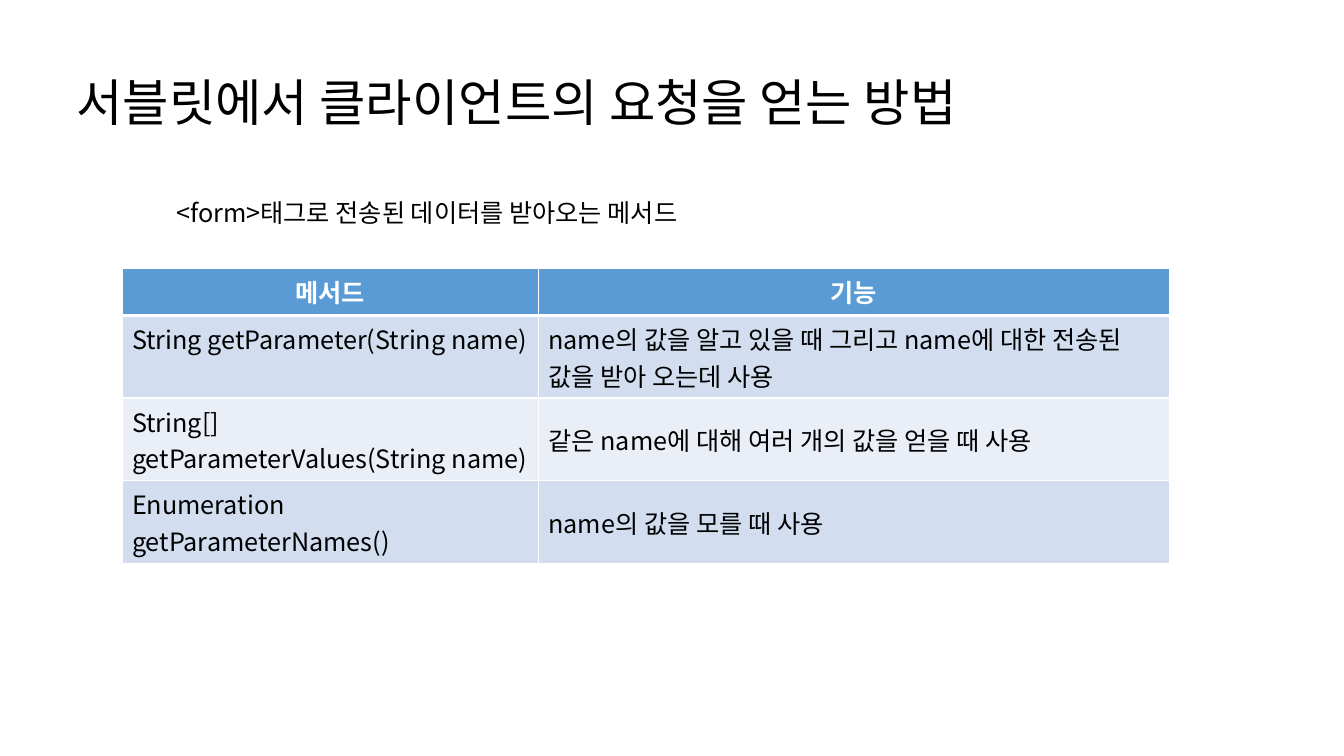
from typing import NamedTuple

from pptx import Presentation
from pptx.dml.color import RGBColor
from pptx.enum import text
from pptx.oxml import parse_xml
from pptx.oxml.ns import nsdecls, qn
from pptx.util import Inches, Pt

FONT = "Noto Sans CJK KR"
BLACK, WHITE = "000000", "FFFFFF"
HEADER_FILL, BAND_FILLS = "5B9BD5", ("D2DEEF", "EAEFF7")
TOP, MIDDLE, BOTTOM = (text.MSO_ANCHOR.TOP, text.MSO_ANCHOR.MIDDLE,
                       text.MSO_ANCHOR.BOTTOM)


class Label(NamedTuple):
    left: float
    top: float
    width: float
    height: float
    words: str
    size: int
    anchor: text.MSO_ANCHOR
    spacing: float


class Method(NamedTuple):
    signature: str
    purpose: str


LABELS = [
    Label(0.66, 0.46, 11.5, 0.9, "서블릿에서 클라이언트의 요청을 얻는 방법", 36, BOTTOM, 0.9),
    Label(1.65, 1.91, 8.47, 0.4, "<form>태그로 전송된 데이터를 받아오는 메서드", 18, TOP, 1.0),
]
HEADER = Method("메서드", "기능")
METHODS = [
    Method("String getParameter(String name)",
           "name의 값을 알고 있을 때 그리고 name에 대한 전송된 값을 받아 오는데 사용"),
    Method("String[] getParameterValues(String name)",
           "같은 name에 대해 여러 개의 값을 얻을 때 사용"),
    Method("Enumeration getParameterNames()", "name의 값을 모를 때 사용"),
]
COLUMN_WIDTHS = (4.13, 6.26)
# Every method row holds two lines of text
HEADER_HEIGHT, METHOD_HEIGHT = 0.47, 0.82


def rgb(value: str) -> RGBColor:
    return RGBColor.from_string(value)


def write(tf, words: str, size: int, color: str = BLACK, bold: bool = False):
    p = tf.paragraphs[0]
    p.text = words
    font = p.font
    font.name, font.size, font.bold = FONT, Pt(size), bold
    font.color.rgb = rgb(color)
    # Hangul takes its typeface from the East Asian font
    p._p.pPr.find(qn("a:defRPr")).append(
        parse_xml(f'<a:ea {nsdecls("a")} typeface="{FONT}"/>'))
    return p


def add_label(s, label: Label) -> None:
    box = s.shapes.add_textbox(Inches(label.left), Inches(label.top),
                               Inches(label.width), Inches(label.height))
    tf = box.text_frame
    tf.word_wrap = True
    tf.vertical_anchor = label.anchor
    write(tf, label.words, label.size).line_spacing = label.spacing


def set_borders(cell, top: int, bottom: int) -> None:
    tcPr = cell._tc.get_or_add_tcPr()
    for i, (side, width) in enumerate(zip("LRTB", (1, 1, top, bottom))):
        tcPr.insert(i, parse_xml(
            f'<a:ln{side} {nsdecls("a")} w="{Pt(width)}"><a:solidFill>'
            f'<a:srgbClr val="{WHITE}"/></a:solidFill></a:ln{side}>'))


def add_method_table(s, left: float, top: float) -> None:
    rows = [HEADER, *METHODS]
    heights = [HEADER_HEIGHT] + [METHOD_HEIGHT] * len(METHODS)
    table = s.shapes.add_table(
        len(rows), len(COLUMN_WIDTHS), Inches(left), Inches(top),
        Inches(sum(COLUMN_WIDTHS)), Inches(sum(heights))).table
    for column, width in zip(table.columns, COLUMN_WIDTHS):
        column.width = Inches(width)
    for r, (method, height) in enumerate(zip(rows, heights)):
        header = r == 0
        table.rows[r].height = Inches(height)
        for c, words in enumerate(method):
            cell = table.cell(r, c)
            cell.fill.solid()
            cell.fill.fore_color.rgb = rgb(
                HEADER_FILL if header else BAND_FILLS[(r - 1) % 2])
            p = write(cell.text_frame, words, 18,
                      WHITE if header else BLACK, header)
            if header:
                p.alignment = text.PP_ALIGN.CENTER
            cell.vertical_anchor = MIDDLE if c and not header else TOP
            set_borders(cell, 3 if r == 1 else 1, 3 if header else 1)


prs = Presentation()
prs.slide_width, prs.slide_height = Inches(13.33), Inches(7.5)
s = prs.slides.add_slide(prs.slide_layouts[6])

# Title and subtitle
for label in LABELS:
    add_label(s, label)

# Request methods
add_method_table(s, 1.21, 2.66)

prs.save("out.pptx")
